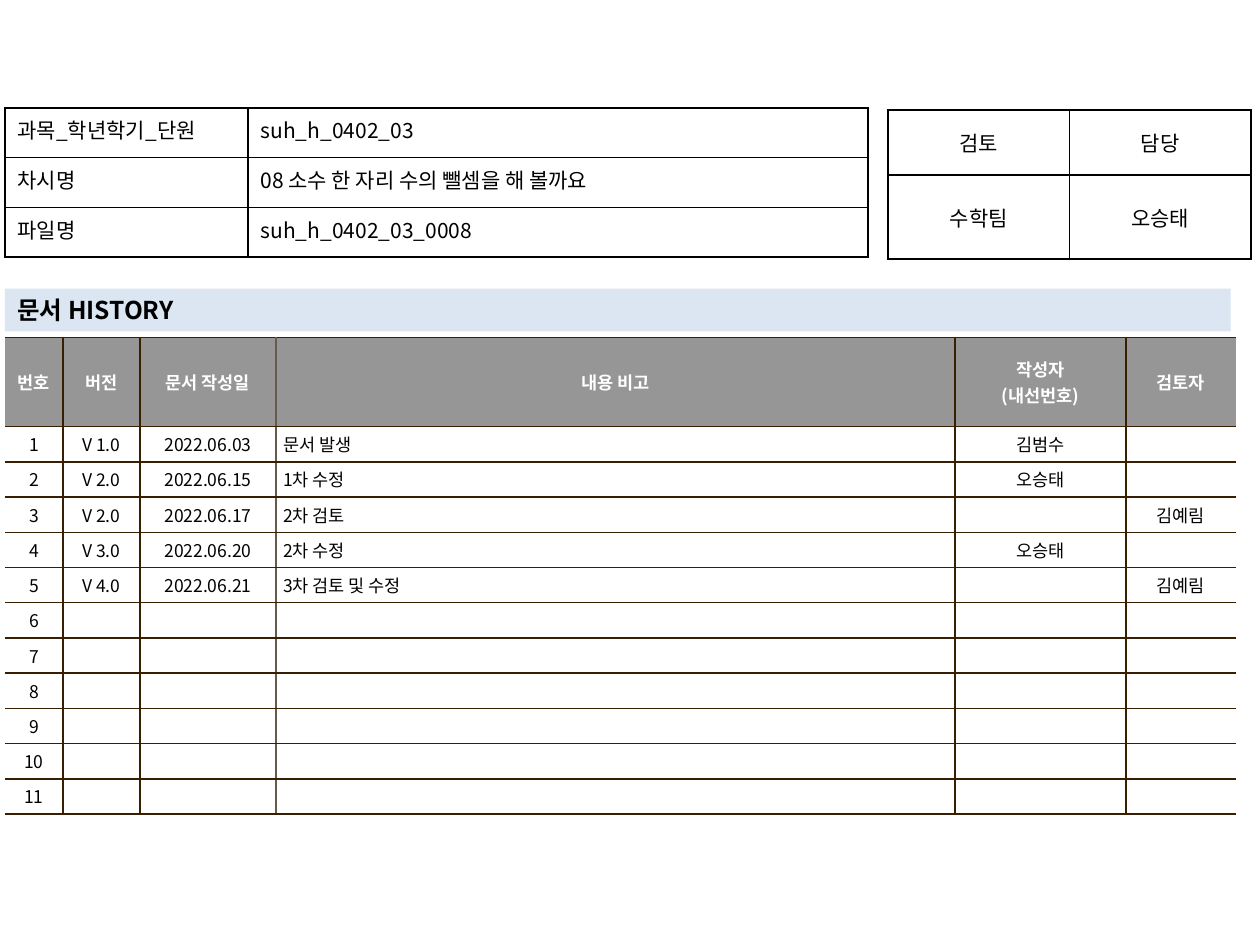
import pptx
import pptx.util
import pptx.dml.color
import pptx.enum.shapes
import pptx.enum.text
import pptx.oxml
import pptx.oxml.ns
import lxml.etree

Cm, Pt = pptx.util.Cm, pptx.util.Pt
ALIGN = pptx.enum.text.PP_ALIGN
ANCHOR = pptx.enum.text.MSO_ANCHOR
qn = pptx.oxml.ns.qn
FONT = "Noto Sans CJK KR"
COLORS = {
    "text": "000000",
    "white": "FFFFFF",
    "header": "969696",
    "bar": "DCE6F2",
    "rule": "362000",
    "light_rule": "645B4C",
}
HISTORY_HEAD = ["번호", "버전", "문서 작성일", "내용 비고", "작성자\n(내선번호)", "검토자"]
HISTORY = [
    ["V 1.0", "2022.06.03", "문서 발생", "김범수", ""],
    ["V 2.0", "2022.06.15", "1차 수정", "오승태", ""],
    ["V 2.0", "2022.06.17", "2차 검토", "", "김예림"],
    ["V 3.0", "2022.06.20", "2차 수정", "오승태", ""],
    ["V 4.0", "2022.06.21", "3차 검토 및 수정", "", "김예림"],
]
HISTORY_ROWS = 11


def rgb(name):
    return pptx.dml.color.RGBColor.from_string(COLORS[name])


def write(tf, text, size, color="text", bold=False, align=ALIGN.LEFT):
    tf.text = text
    for p in tf.paragraphs:
        p.alignment = align
        p.font.size = Pt(size)
        p.font.name = FONT
        p.font.bold = bold
        p.font.color.rgb = rgb(color)
        props = p._p.pPr.find(qn("a:defRPr"))
        props.find(qn("a:latin")).addnext(
            pptx.oxml.parse_xml(f'<a:ea {pptx.oxml.ns.nsdecls("a")} typeface="{FONT}"/>'))
        if not p.runs:
            lxml.etree.SubElement(p._p, qn("a:endParaRPr"), sz=str(size * 100))


def set_borders(cell, left, right, top, bottom):
    tc_pr = cell._tc.get_or_add_tcPr()
    for i, (side, color) in enumerate(zip("LRTB", (left, right, top, bottom))):
        ln = lxml.etree.Element(qn(f"a:ln{side}"), w=str(Pt(1)))
        if color:
            fill = lxml.etree.SubElement(ln, qn("a:solidFill"))
            lxml.etree.SubElement(fill, qn("a:srgbClr"), val=COLORS[color])
        else:
            lxml.etree.SubElement(ln, qn("a:noFill"))
        tc_pr.insert(i, ln)


def add_grid(s, x, y, widths, heights):
    table = s.shapes.add_table(len(heights), len(widths), Cm(x), Cm(y),
                               Cm(sum(widths)), Cm(sum(heights))).table
    table.first_row = table.horz_banding = False
    for col, width in zip(table.columns, widths):
        col.width = Cm(width)
    for row, height in zip(table.rows, heights):
        row.height = Cm(height)
    return table


def add_plain_table(s, x, y, widths, heights, rows, aligns, anchor):
    table = add_grid(s, x, y, widths, heights)
    for r, texts in enumerate(rows):
        for c, text in enumerate(texts):
            cell = table.cell(r, c)
            cell.fill.background()
            cell.vertical_anchor = anchor
            write(cell.text_frame, text, 12, align=aligns[c])
            set_borders(cell, *["text"] * 4)


def add_title_bar(s, x, y, w, h):
    sp = s.shapes.add_shape(pptx.enum.shapes.MSO_SHAPE.RECTANGLE, Cm(x), Cm(y), Cm(w), Cm(h))
    sp.shadow.inherit = False
    sp.fill.solid()
    sp.fill.fore_color.rgb = rgb("bar")
    sp.line.fill.background()
    tf = sp.text_frame
    tf.word_wrap = True
    tf.vertical_anchor = ANCHOR.TOP
    write(tf, "문서 HISTORY", 14, bold=True)


def add_history(s, x, y, widths, head_height, row_height):
    table = add_grid(s, x, y, widths, [head_height] + [row_height] * HISTORY_ROWS)
    edges = [None, "rule", "rule", "light_rule", "rule", "rule", None]
    blank = [""] * (len(widths) - 1)
    rows = [HISTORY_HEAD]
    for i in range(HISTORY_ROWS):
        rows.append([str(i + 1)] + (HISTORY[i] if i < len(HISTORY) else blank))
    for r, texts in enumerate(rows):
        head = r == 0
        for c, text in enumerate(texts):
            cell = table.cell(r, c)
            cell.fill.solid()
            cell.fill.fore_color.rgb = rgb("header" if head else "white")
            cell.vertical_anchor = ANCHOR.MIDDLE
            cell.margin_left = cell.margin_right = Cm(0.15)
            cell.margin_top = cell.margin_bottom = Cm(0.1)
            align = ALIGN.LEFT if c == 3 and not head else ALIGN.CENTER
            write(cell.text_frame, text, 10, "white" if head else "text", head, align)
            set_borders(cell, edges[c], edges[c + 1], "rule", "rule")


def main():
    prs = pptx.Presentation()
    prs.slide_width, prs.slide_height = Cm(25.4), Cm(19.05)
    s = prs.slides.add_slide(prs.slide_layouts[6])
    add_history(s, 0.1, 6.8, [1.17, 1.55, 2.74, 13.69, 3.45, 2.21], 1.8, 0.71)
    add_plain_table(s, 17.9, 2.22, [3.66, 3.66], [1.31, 1.69],
                    [["검토", "담당"], ["수학팀", "오승태"]],
                    [ALIGN.CENTER, ALIGN.CENTER], ANCHOR.MIDDLE)
    add_title_bar(s, 0.1, 5.82, 24.71, 0.86)
    add_plain_table(s, 0.1, 2.18, [4.9, 12.5], [1, 1, 1],
                    [["과목_학년학기_단원", "suh_h_0402_03"],
                     ["차시명", "08 소수 한 자리 수의 뺄셈을 해 볼까요"],
                     ["파일명", "suh_h_0402_03_0008"]],
                    [ALIGN.JUSTIFY, ALIGN.LEFT], ANCHOR.TOP)
    prs.save("out.pptx")


if __name__ == "__main__":
    main()
